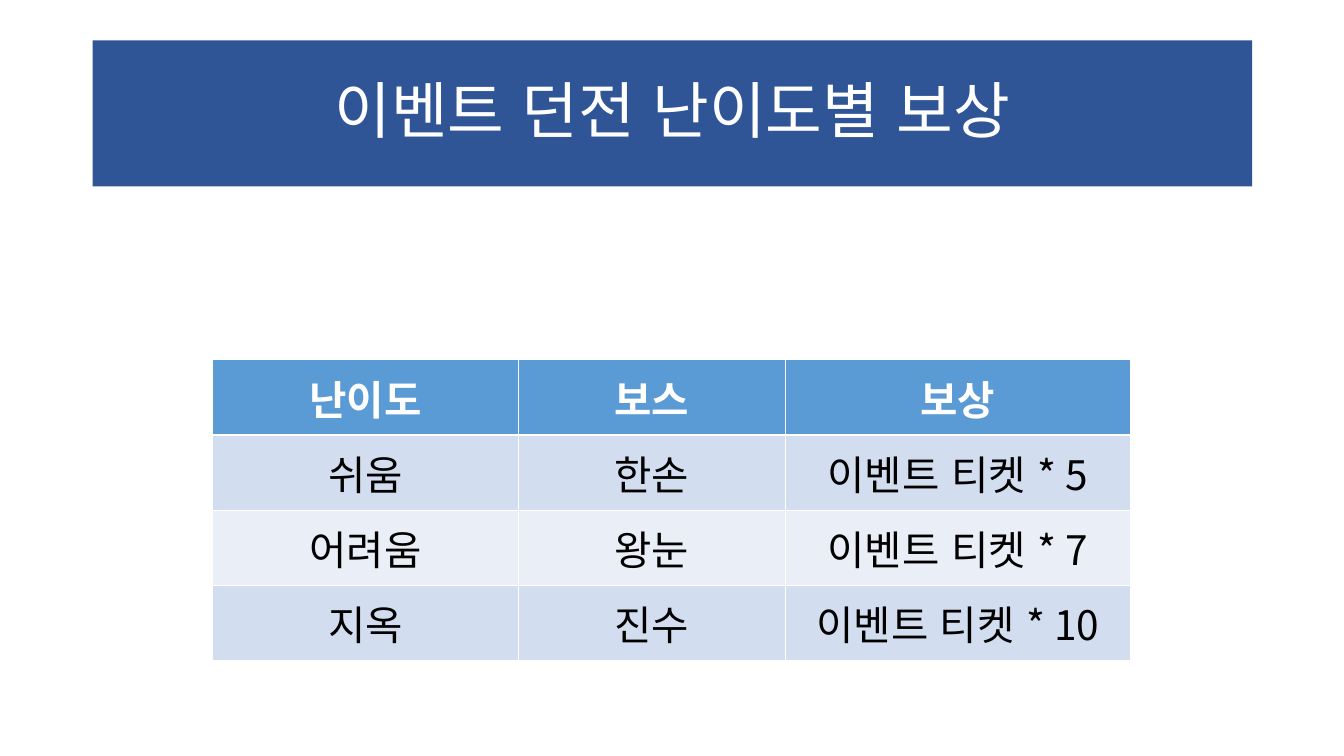
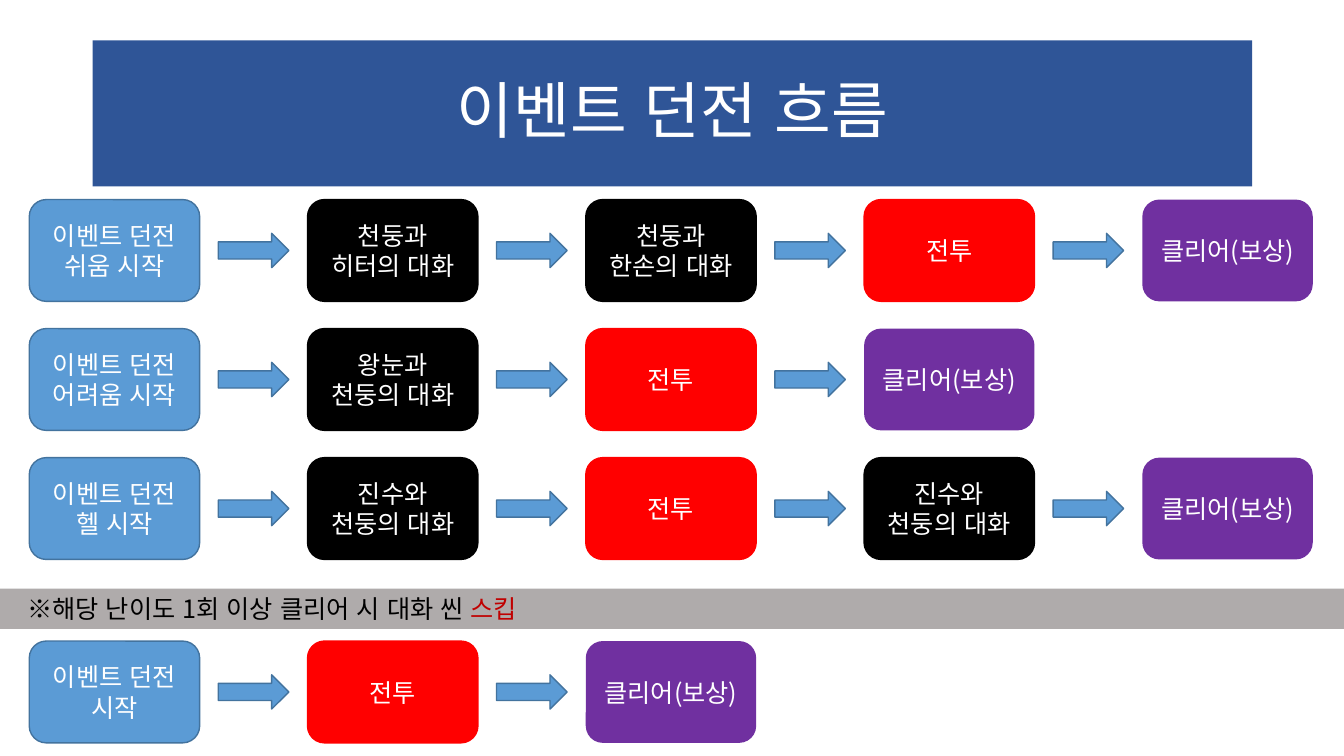
from pptx import Presentation
from pptx.dml.color import RGBColor
from pptx.enum.lang import MSO_LANGUAGE_ID
from pptx.enum.shapes import MSO_SHAPE
from pptx.enum.text import MSO_ANCHOR, PP_ALIGN
from pptx.oxml.ns import qn
from pptx.util import Inches, Pt

FONT = "Noto Sans CJK KR"
WHITE = RGBColor(0xFF, 0xFF, 0xFF)
BLACK = RGBColor(0x00, 0x00, 0x00)
NAVY = RGBColor(0x2F, 0x55, 0x97)
BLUE = RGBColor(0x5B, 0x9B, 0xD5)
BLUE_EDGE = RGBColor(0x43, 0x73, 0x9E)
BAND_DARK = RGBColor(0xD2, 0xDE, 0xEF)
BAND_LIGHT = RGBColor(0xEA, 0xEF, 0xF7)
RED = RGBColor(0xFF, 0x00, 0x00)
DARK_RED = RGBColor(0xC0, 0x00, 0x00)
PURPLE = RGBColor(0x70, 0x30, 0xA0)
GRAY = RGBColor(0xAF, 0xAB, 0xAB)

# Step kind: (fill, line)
START = (BLUE, BLUE_EDGE)
TALK = (BLACK, BLACK)
BATTLE = (RED, RED)
CLEAR = (PURPLE, None)

FIGHT_STEP = (BATTLE, "전투")
CLEAR_STEP = (CLEAR, "클리어(보상)")
FLOWS = [
    [(START, "이벤트 던전 쉬움 시작"), (TALK, "천둥과 히터의 대화"),
     (TALK, "천둥과 한손의 대화"), FIGHT_STEP, CLEAR_STEP],
    [(START, "이벤트 던전 어려움 시작"), (TALK, "왕눈과 천둥의 대화"),
     FIGHT_STEP, CLEAR_STEP],
    [(START, "이벤트 던전 헬 시작"), (TALK, "진수와 천둥의 대화"),
     FIGHT_STEP, (TALK, "진수와 천둥의 대화"), CLEAR_STEP],
]
SKIP_FLOW = [(START, "이벤트 던전 시작"), FIGHT_STEP, CLEAR_STEP]

REWARDS = [
    ("난이도", "보스", "보상"),
    ("쉬움", "한손", "이벤트 티켓 * 5"),
    ("어려움", "왕눈", "이벤트 티켓 * 7"),
    ("지옥", "진수", "이벤트 티켓 * 10"),
]

STEP_W, STEP_H, STEP_PITCH = 1.69, 1.01, 2.76
ARROW_W, ARROW_H = 0.7, 0.34


def add_run(p, text, size, color, bold=False):
    r = p.add_run()
    r.text = text
    font = r.font
    font.name, font.size, font.bold = FONT, Pt(size), bold
    font.color.rgb = color
    font.language_id = MSO_LANGUAGE_ID.KOREAN
    ea = r._r.get_or_add_rPr().makeelement(qn("a:ea"), {"typeface": FONT})
    font._element.find(qn("a:latin")).addnext(ea)


def add_box(slide, preset, left, top, width, height, fill, line=None):
    sp = slide.shapes.add_shape(preset, Inches(left), Inches(top),
                                Inches(width), Inches(height))
    sp.shadow.inherit = False
    sp.fill.solid()
    sp.fill.fore_color.rgb = fill
    if line is None:
        sp.line.fill.background()
    else:
        sp.line.color.rgb = line
        sp.line.width = Pt(1)
    sp.text_frame.word_wrap = True
    return sp


def add_centered_text(sp, text, size):
    tf = sp.text_frame
    tf.vertical_anchor = MSO_ANCHOR.MIDDLE
    p = tf.paragraphs[0]
    p.alignment = PP_ALIGN.CENTER
    add_run(p, text, size, WHITE)
    return p


def add_titled_slide(prs, title):
    slide = prs.slides.add_slide(prs.slide_layouts[6])
    sp = add_box(slide, MSO_SHAPE.RECTANGLE, 0.92, 0.4, 11.5, 1.45, NAVY)
    add_centered_text(sp, title, 44).line_spacing = 0.9
    return slide


def add_reward_table(slide, left, top, col_widths, row_height):
    table = slide.shapes.add_table(
        len(REWARDS), len(col_widths), Inches(left), Inches(top),
        Inches(sum(col_widths)), Inches(row_height * len(REWARDS))).table
    for column, width in zip(table.columns, col_widths):
        column.width = Inches(width)
    for i, texts in enumerate(REWARDS):
        header = i == 0
        fill = BLUE if header else BAND_DARK if i % 2 else BAND_LIGHT
        for j, text in enumerate(texts):
            cell = table.cell(i, j)
            cell.fill.solid()
            cell.fill.fore_color.rgb = fill
            cell.margin_left = cell.margin_right = Inches(0.16)
            cell.margin_top = cell.margin_bottom = Inches(0.08)
            p = cell.text_frame.paragraphs[0]
            p.alignment = PP_ALIGN.CENTER
            add_run(p, text, 29, WHITE if header else BLACK, header)


def add_flow(slide, left, top, steps):
    """Draw a row of steps with an arrow centred in each gap."""
    gap = STEP_PITCH - STEP_W
    for i, ((fill, line), text) in enumerate(steps):
        x = left + i * STEP_PITCH
        if i:
            add_box(slide, MSO_SHAPE.RIGHT_ARROW, x - (gap + ARROW_W) / 2,
                    top + (STEP_H - ARROW_H) / 2, ARROW_W, ARROW_H,
                    BLUE, BLUE_EDGE)
        sp = add_box(slide, MSO_SHAPE.ROUNDED_RECTANGLE, x, top,
                     STEP_W, STEP_H, fill, line)
        add_centered_text(sp, text, 18)


def add_skip_note(slide, top, width, height):
    sp = add_box(slide, MSO_SHAPE.RECTANGLE, 0, top, width, height, GRAY)
    tf = sp.text_frame
    tf.margin_left = Inches(0.27)
    tf.vertical_anchor = MSO_ANCHOR.TOP
    p = tf.paragraphs[0]
    p.alignment = PP_ALIGN.LEFT
    add_run(p, "※해당 난이도 1회 이상 클리어 시 대화 씬 ", 18, BLACK)
    add_run(p, "스킵", 18, DARK_RED)


def build_reward_slide(prs):
    slide = add_titled_slide(prs, "이벤트 던전 난이도별 보상")
    add_reward_table(slide, 2.11, 3.57, (3.03, 2.65, 3.42), 0.66)


def build_flow_slide(prs):
    slide = add_titled_slide(prs, "이벤트 던전 흐름")
    for i, steps in enumerate(FLOWS):
        add_flow(slide, 0.29, 1.98 + i * 1.28, steps)
    add_skip_note(slide, 5.84, 13.33, 0.4)
    add_flow(slide, 0.29, 6.36, SKIP_FLOW)


def main():
    prs = Presentation()
    prs.slide_width, prs.slide_height = Inches(13.33), Inches(7.5)
    build_reward_slide(prs)
    build_flow_slide(prs)
    prs.save("out.pptx")


if __name__ == "__main__":
    main()
